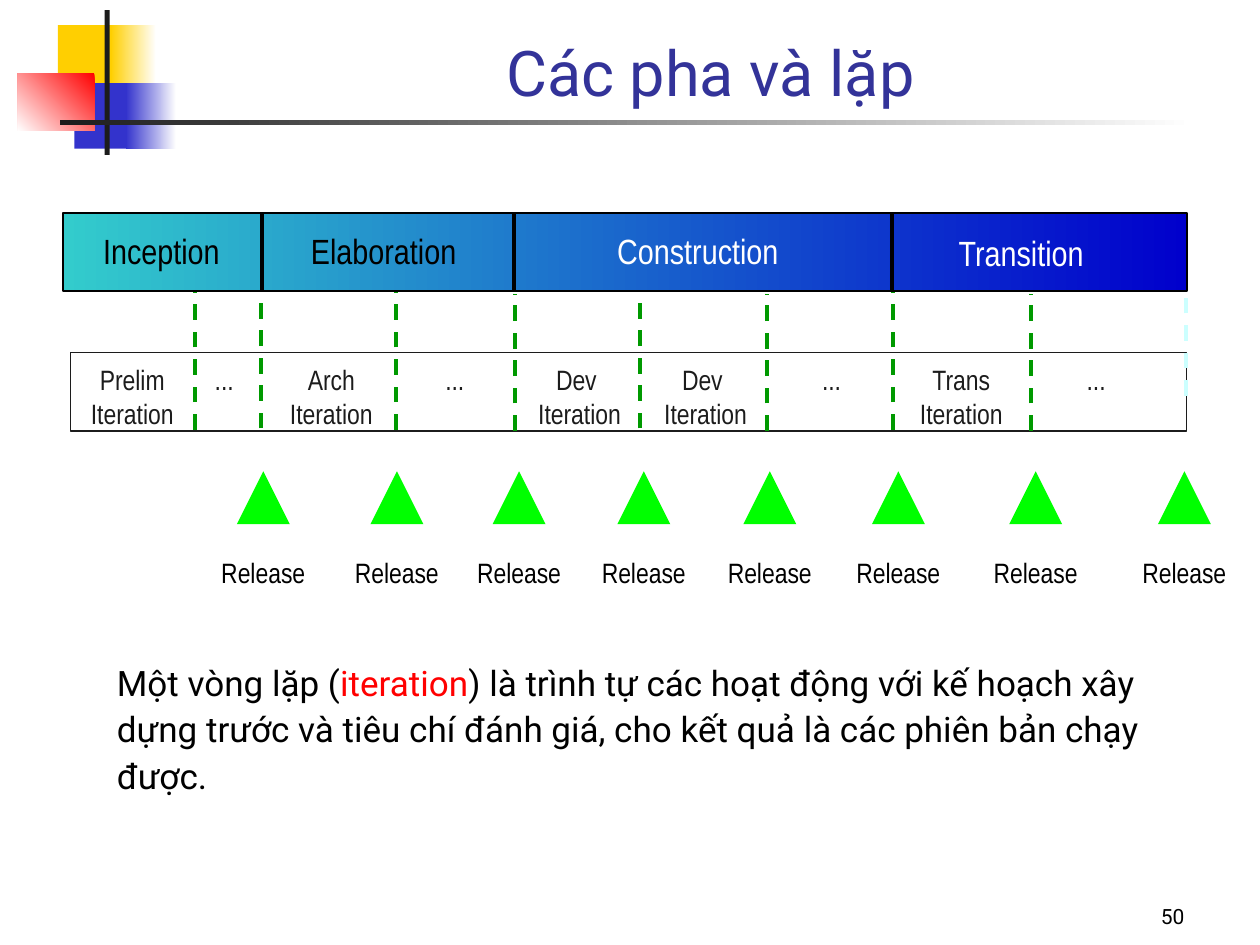
"""Build the slide that shows project phases, their iterations and releases."""
from dataclasses import dataclass

from lxml import etree
from pptx import Presentation
from pptx import util as u
from pptx.dml.color import RGBColor
from pptx.enum import dml, shapes, text
from pptx.oxml import ns


@dataclass(frozen=True)
class Theme:
    """Colours, fonts and type sizes of the slide."""
    white: str = "FFFFFF"
    black: str = "000000"
    ink: str = "1C1C1C"
    title: str = "333399"
    yellow: str = "FFCF01"
    blue: str = "3333CC"
    red: str = "FF0000"
    band_start: str = "33CCCC"
    band_end: str = "0000CC"
    divider: str = "009900"
    last_divider: str = "CCFFFF"
    release: str = "00FF00"
    body_font: str = "Roboto"
    label_font: str = "Arial Narrow"
    title_size: int = 36
    body_size: int = 20
    label_size: int = 16
    number_size: int = 12


THEME = Theme()
ALIGN = text.PP_ALIGN


def add_block(parent, box, fill, line=None, kind=shapes.MSO_SHAPE.RECTANGLE, angle=180):
    """Add a shape whose fill is one colour or a pair of gradient colours."""
    block = parent.add_shape(kind, *map(u.Inches, box))
    block.shadow.inherit = False
    if isinstance(fill, tuple):
        block.fill.gradient()
        block.fill.gradient_angle = angle
        for stop, colour in zip(block.fill.gradient_stops, fill):
            stop.color.rgb = RGBColor.from_string(colour)
    else:
        block.fill.solid()
        block.fill.fore_color.rgb = RGBColor.from_string(fill)
    if line:
        block.line.color.rgb = RGBColor.from_string(line)
        block.line.width = u.Pt(0.75)
    else:
        block.line.fill.background()


def add_rule(parent, x, bottom, top, colour, width, dashed=False):
    """Add a vertical line drawn upwards from bottom to top."""
    rule = parent.add_connector(shapes.MSO_CONNECTOR.STRAIGHT,
                                *map(u.Inches, (x, bottom, x, top)))
    rule.line.color.rgb = RGBColor.from_string(colour)
    rule.line.width = u.Pt(width)
    if dashed:
        rule.line.dash_style = dml.MSO_LINE.DASH
    etree.SubElement(rule._element.spPr, ns.qn("a:effectLst"))


def write_paragraph(paragraph, runs, size, font, align):
    """Write (wording, colour) runs into a paragraph."""
    paragraph.alignment = align
    for wording, colour in runs:
        run = paragraph.add_run()
        run.text = wording
        run.font.size = u.Pt(size)
        run.font.name = font
        run.font.color.rgb = RGBColor.from_string(colour)


def add_label(parent, box, lines, size, colour, font=THEME.label_font,
              align=ALIGN.CENTER, inset=0.06):
    """Add an unwrapped text box that holds one paragraph per line."""
    label = parent.add_textbox(*map(u.Inches, box))
    frame = label.text_frame
    frame.word_wrap = False
    frame.auto_size = text.MSO_AUTO_SIZE.SHAPE_TO_FIT_TEXT
    frame.margin_left = frame.margin_right = u.Inches(inset)
    for index, wording in enumerate(lines):
        paragraph = frame.add_paragraph() if index else frame.paragraphs[0]
        write_paragraph(paragraph, [(wording, colour)], size, font, align)
    return label


def add_ornament(parent):
    """Add the coloured corner squares and the rules beside the title."""
    blocks = [
        ((0.46, 0.2, 0.48, 0.52), THEME.yellow, 180),
        ((0.88, 0.2, 0.36, 0.52), (THEME.white, THEME.yellow), 180),
        ((0.59, 0.66, 0.46, 0.52), THEME.blue, 180),
        ((1, 0.66, 0.4, 0.52), (THEME.white, THEME.blue), 180),
        ((0.14, 0.58, 0.61, 0.46), (THEME.red, THEME.white), 225),
        ((0.83, 0.08, 0.04, 1.15), THEME.ink, 180),
        ((0.48, 0.95, 9, 0.04), (THEME.white, THEME.ink), 180),
    ]
    for box, fill, angle in blocks:
        add_block(parent, box, fill, angle=angle)


def set_title(title, wording):
    """Place and format the title placeholder."""
    title.left, title.top, title.width, title.height = map(
        u.Inches, (1.5, 0.08, 8.28, 0.84))
    frame = title.text_frame
    frame.vertical_anchor = text.MSO_ANCHOR.BOTTOM
    frame.auto_size = text.MSO_AUTO_SIZE.NONE
    write_paragraph(frame.paragraphs[0], [(wording, THEME.title)],
                    THEME.title_size, THEME.body_font, ALIGN.CENTER)


def add_definition(parent):
    """Add the paragraph that defines an iteration."""
    definition = parent.add_textbox(*map(u.Inches, (0.83, 5.17, 8.83, 1.2)))
    frame = definition.text_frame
    frame.word_wrap = True
    frame.auto_size = text.MSO_AUTO_SIZE.SHAPE_TO_FIT_TEXT
    runs = [
        ("Một vòng lặp (", THEME.black),
        ("iteration", THEME.red),
        (") là trình tự các hoạt động với kế hoạch xây dựng trước và tiêu chí "
         "đánh giá, cho kết quả là các phiên bản chạy được.", THEME.black),
    ]
    frame.paragraphs[0].line_spacing = 1.1
    write_paragraph(frame.paragraphs[0], runs, THEME.body_size, THEME.body_font, ALIGN.LEFT)


def add_iterations(parent):
    """Add the row of iterations with its dashed dividers."""
    add_block(parent, (0.56, 2.8, 8.86, 0.62), THEME.white, THEME.ink)
    iterations = [(1.05, "Prelim"), (1.78, None), (2.63, "Arch"), (3.61, None),
                  (4.6, "Dev "), (5.6, "Dev "), (6.6, None), (7.63, "Trans"), (8.7, None)]
    for centre, name in iterations:
        lines, width, height = ([name, "Iteration"], 0.84, 0.62) if name else (["..."], 0.33, 0.36)
        add_label(parent, (centre - width / 2, 2.83, width, height), lines,
                  THEME.label_size, THEME.ink)
    dividers = [(1.55, 3.41), (2.07, 3.4), (3.14, 3.41), (4.09, 3.42),
                (5.08, 3.4), (6.09, 3.42), (7.09, 3.41), (8.18, 3.42)]
    for x, bottom in dividers:
        add_rule(parent, x, bottom, bottom - 1.09, THEME.divider, 2.25, dashed=True)
    add_rule(parent, 9.41, 3.14, 2.05, THEME.last_divider, 2.25, dashed=True)


def add_releases(parent):
    """Add a grouped triangle and caption for every release."""
    for centre in (2.09, 3.15, 4.12, 5.11, 6.11, 7.13, 8.22, 9.4):
        release = parent.add_group_shape().shapes
        add_label(release, (centre - 0.43, 4.36, 0.86, 0.64), ["Release"],
                  THEME.label_size, THEME.black)
        add_block(release, (centre - 0.21, 3.74, 0.42, 0.42), THEME.release,
                  kind=shapes.MSO_SHAPE.ISOSCELES_TRIANGLE)


def add_phases(parent):
    """Add the gradient band of the four phases."""
    add_block(parent, (0.5, 1.69, 8.92, 0.62), (THEME.band_end, THEME.band_start), THEME.black)
    for x in (2.08, 4.08, 7.08):
        add_rule(parent, x, 2.31, 1.69, THEME.black, 2)
    phases = [("Inception", 0.72, 1.77, 1.13, THEME.black),
              ("Elaboration", 2.37, 1.77, 1.36, THEME.black),
              ("Construction", 4.8, 1.77, 1.48, THEME.white),
              ("Transition", 7.51, 1.79, 1.2, THEME.white)]
    for name, left, top, width, colour in phases:
        add_label(parent, (left, top, width, 0.43), [name], THEME.body_size, colour,
                  align=ALIGN.LEFT, inset=0.1)


def add_page_number(parent, number):
    """Add the page number at the lower right."""
    label = add_label(parent, (7.42, 6.92, 2.08, 0.5), [number], THEME.number_size,
                      THEME.black, THEME.body_font, ALIGN.RIGHT, inset=0.1)
    label.text_frame.word_wrap = True
    label.text_frame.auto_size = text.MSO_AUTO_SIZE.NONE
    label.text_frame.vertical_anchor = text.MSO_ANCHOR.BOTTOM


def main():
    """Build and save the slide."""
    deck = Presentation()
    deck.slide_width, deck.slide_height = u.Inches(10), u.Inches(7.5)
    slide = deck.slides.add_slide(deck.slide_layouts[5])
    add_ornament(slide.shapes)
    set_title(slide.shapes.title, "Các pha và lặp")
    add_definition(slide.shapes)
    add_iterations(slide.shapes)
    add_releases(slide.shapes)
    add_phases(slide.shapes)
    add_page_number(slide.shapes, "50")
    deck.save("out.pptx")


if __name__ == "__main__":
    main()
